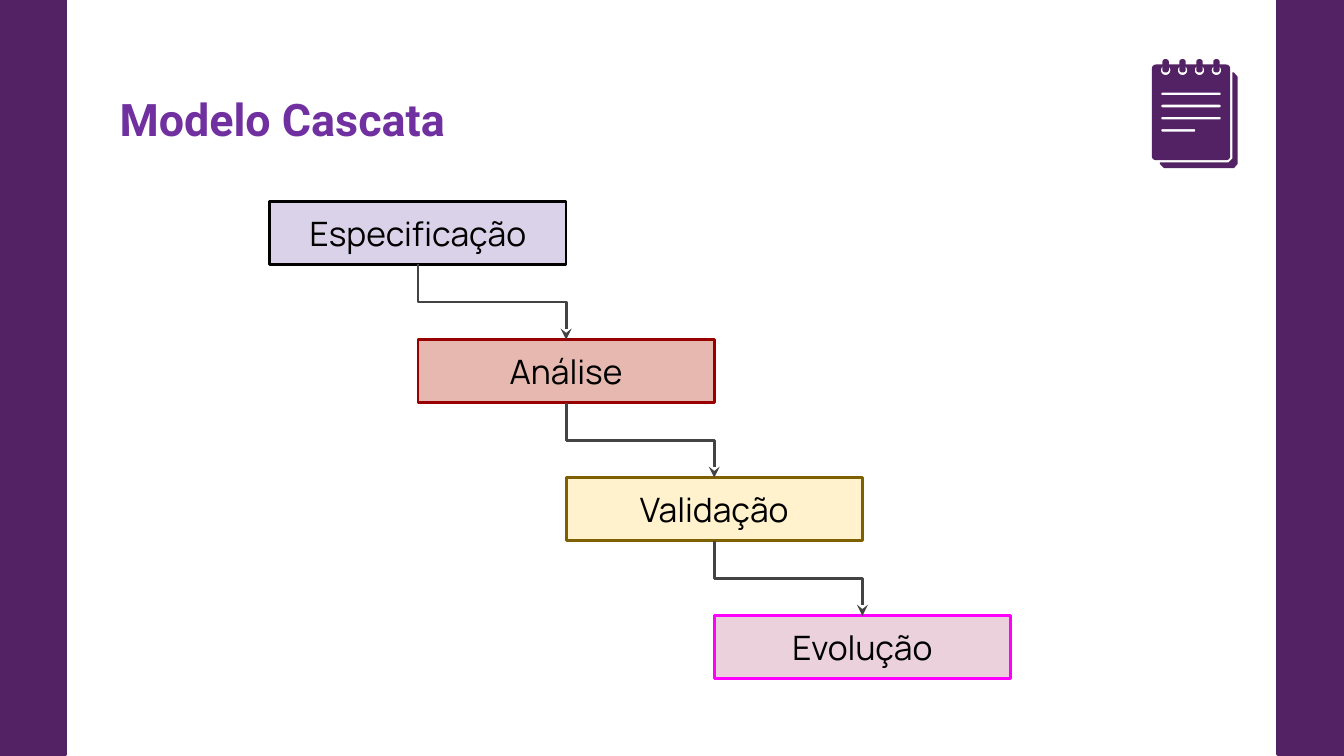
import math
from dataclasses import dataclass

import pptx
import pptx.dml.color
import pptx.enum.shapes
import pptx.enum.text
import pptx.oxml
import pptx.oxml.ns
import pptx.util

Cm = pptx.util.Cm
Pt = pptx.util.Pt
Align = pptx.enum.text.PP_ALIGN


@dataclass(frozen=True)
class Theme:
    bar: str = "532264"
    title: str = "7030A0"
    text: str = "000000"
    arrow: str = "434343"
    title_font: str = "Roboto"
    stage_font: str = "Manrope"
    title_size: int = 24
    stage_size: int = 18
    line_width: float = 1.5
    bar_line_width: float = 2


def rgb(value):
    return pptx.dml.color.RGBColor.from_string(value)


def write_text(frame, text, *, font, size, colour, bold=False, align=Align.LEFT):
    frame.word_wrap = True
    frame.auto_size = pptx.enum.text.MSO_AUTO_SIZE.NONE
    frame.vertical_anchor = pptx.enum.text.MSO_ANCHOR.MIDDLE
    frame.margin_left = frame.margin_right = Cm(0.25)
    frame.margin_top = frame.margin_bottom = Cm(0.25)
    paragraph = frame.paragraphs[0]
    paragraph.alignment = align
    run = paragraph.add_run()
    run.text = text
    run.font.name = font
    run.font.size = Pt(size)
    run.font.bold = bold
    run.font.color.rgb = rgb(colour)


def rounded_contour(left, top, width, height, radius):
    """Corner points of a rounded rectangle, clockwise, in centimetres."""
    right, bottom = left + width - radius, top + height - radius
    corners = [(right, bottom), (left + radius, bottom),
               (left + radius, top + radius), (right, top + radius)]
    return [(x + radius * math.cos(math.radians(angle)),
             y + radius * math.sin(math.radians(angle)))
            for quarter, (x, y) in enumerate(corners)
            for angle in range(90 * quarter, 90 * quarter + 91, 15)]


class SlideBuilder:
    def __init__(self, slide, theme):
        self.slide = slide
        self.theme = theme

    def title(self, text, left, top, width, height):
        title = self.slide.shapes.title
        title.left, title.top = Cm(left), Cm(top)
        title.width, title.height = Cm(width), Cm(height)
        write_text(title.text_frame, text, font=self.theme.title_font,
                   size=self.theme.title_size, colour=self.theme.title, bold=True)

    def box(self, left, top, width, height, fill, line, line_width):
        box = self.slide.shapes.add_shape(
            pptx.enum.shapes.MSO_SHAPE.RECTANGLE,
            Cm(left), Cm(top), Cm(width), Cm(height))
        box.shadow.inherit = False
        box.fill.solid()
        box.fill.fore_color.rgb = rgb(fill)
        box.line.color.rgb = rgb(line)
        box.line.width = Pt(line_width)
        return box

    def stage(self, text, left, top, width, height, fill, line):
        stage = self.box(left, top, width, height, fill, line, self.theme.line_width)
        write_text(stage.text_frame, text, font=self.theme.stage_font,
                   size=self.theme.stage_size, colour=self.theme.text,
                   align=Align.CENTER)
        return stage

    def outline(self, *contours):
        """Filled outline; contours after the first are cut out of it."""
        points = [[(Cm(x), Cm(y)) for x, y in contour] for contour in contours]
        builder = self.slide.shapes.build_freeform(*points[0][0])
        builder.add_line_segments(points[0][1:], close=True)
        for hole in points[1:]:
            builder.move_to(*hole[0])
            builder.add_line_segments(hole[1:], close=True)
        shape = builder.convert_to_shape()
        shape.shadow.inherit = False
        shape.fill.solid()
        shape.fill.fore_color.rgb = rgb(self.theme.bar)
        shape.line.fill.background()
        return shape

    def step_arrow(self, source, target):
        """Elbow arrow from the bottom of one stage to the top of the next."""
        start_x, start_y = source.left + source.width // 2, source.top + source.height
        end_x, end_y = target.left + target.width // 2, target.top
        arrow = self.slide.shapes.add_connector(
            pptx.enum.shapes.MSO_CONNECTOR.ELBOW, start_x, start_y, end_x, end_y)
        arrow.begin_connect(source, 2)
        arrow.end_connect(target, 0)
        # Turn the elbow so that it leaves and arrives vertically
        run, drop = end_x - start_x, end_y - start_y
        arrow.left = (start_x + end_x - drop) // 2
        arrow.top = (start_y + end_y - run) // 2
        arrow.width, arrow.height = drop, run
        properties = arrow._element.spPr
        properties.xfrm.set("rot", str(270 * 60000))
        properties.xfrm.set("flipH", "1")
        arrow.line.color.rgb = rgb(self.theme.arrow)
        arrow.line.width = Pt(self.theme.line_width)
        head = pptx.oxml.parse_xml(
            f'<a:tailEnd {pptx.oxml.ns.nsdecls("a")} type="stealth"/>')
        arrow.line._get_or_add_ln().append(head)
        properties.append(pptx.oxml.parse_xml(
            f'<a:effectLst {pptx.oxml.ns.nsdecls("a")}/>'))

    def notepad(self):
        back = self.outline([
            (23.29, 1.37), (23.29, 3), (23.22, 3.07), (21.92, 3.07), (21.92, 3.1),
            (22, 3.18), (23.32, 3.18), (23.39, 3.1), (23.39, 1.45), (23.32, 1.37)])
        ring_offsets = [0.32 * i for i in range(4)]
        pegs = [self.outline(rounded_contour(21.97 + offset, 1.12, 0.12, 0.25, 0.05))
                for offset in ring_offsets]
        holes = [rounded_contour(21.94 + offset, 1.24, 0.18, 0.18, 0.09)
                 for offset in ring_offsets]
        rules = [rounded_contour(21.95, 1.75 + 0.23 * i, width, 0.05, 0.02)
                 for i, width in enumerate([1.12, 1.12, 1.12, 0.64])]
        page = self.outline(rounded_contour(21.77, 1.22, 1.48, 1.81, 0.08),
                            *holes, *rules)
        self.slide.shapes.add_group_shape([back, *pegs, page])


def main():
    theme = Theme()
    presentation = pptx.Presentation()
    presentation.slide_width, presentation.slide_height = Cm(25.4), Cm(14.29)
    title_only = presentation.slide_layouts[5]
    builder = SlideBuilder(presentation.slides.add_slide(title_only), theme)

    # Side bars
    for left in (24.16, 0):
        builder.box(left, 0, 1.24, 14.25, theme.bar, theme.bar, theme.bar_line_width)

    # Heading and icon
    builder.notepad()
    builder.title("Modelo Cascata", 2.01, 1.42, 13.89, 1.65)

    # Cascade: each stage starts under the middle of the one before
    stages = [("Especificação", "D9D2E9", "000000"),
              ("Análise", "E6B8AF", "980000"),
              ("Validação", "FFF2CC", "7F6000"),
              ("Evolução", "EAD1DC", "FF00FF")]
    step_x, step_y = 2.8, 2.61
    cascade = [builder.stage(text, 5.1 + step_x * i, 3.81 + step_y * i,
                             2 * step_x, 1.19, fill, line)
               for i, (text, fill, line) in enumerate(stages)]
    for source, target in zip(cascade, cascade[1:]):
        builder.step_arrow(source, target)

    presentation.save("out.pptx")


if __name__ == "__main__":
    main()
